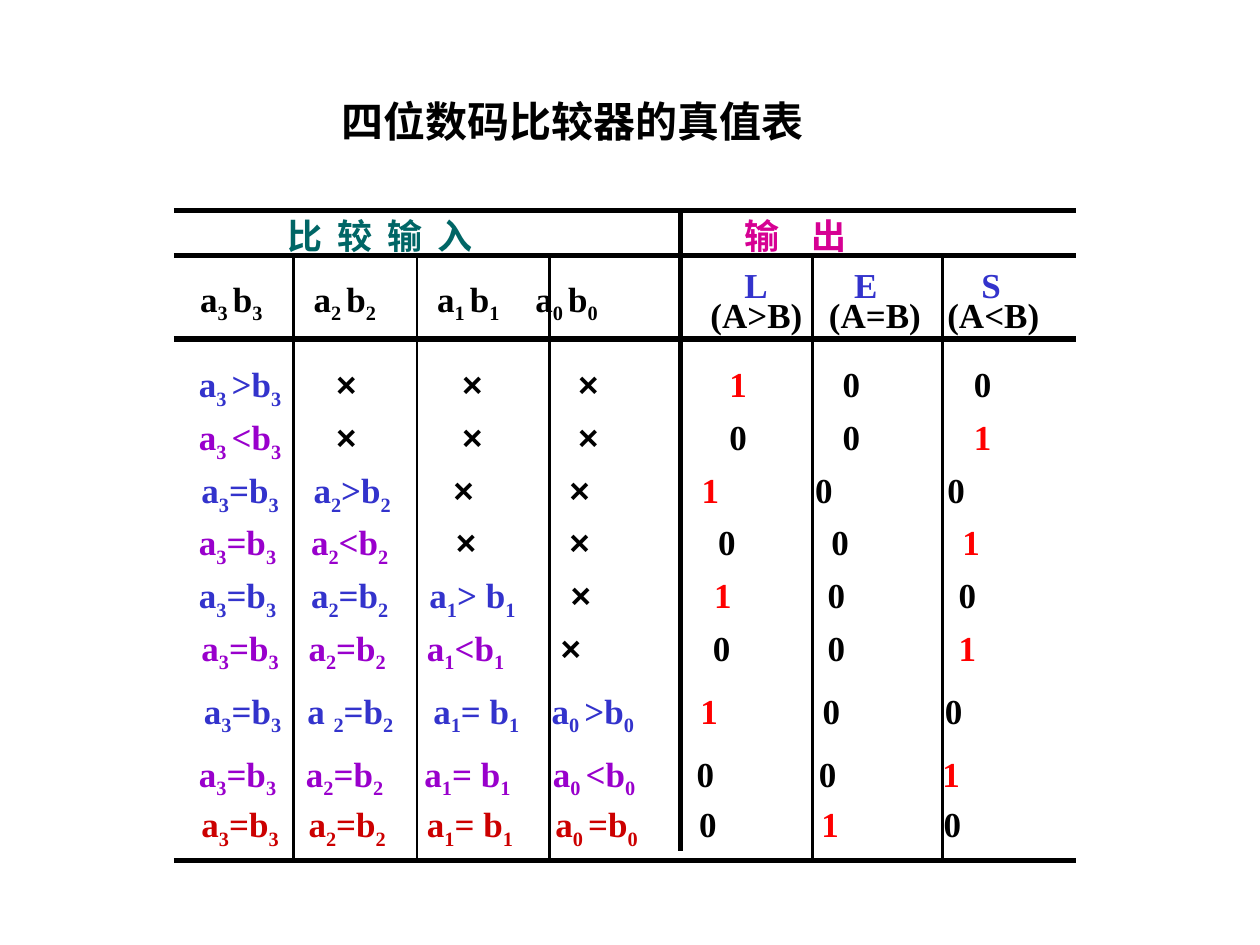
from dataclasses import dataclass

from lxml.etree import SubElement
from pptx import Presentation
from pptx.dml.color import RGBColor
from pptx.enum.shapes import MSO_CONNECTOR as Connector
from pptx.enum.text import MSO_ANCHOR as Anchor, MSO_AUTO_SIZE as AutoSize, PP_ALIGN as Align
from pptx.oxml.ns import qn
from pptx.util import Inches, Pt

BLACK, RED, BLUE, PURPLE, CRIMSON = "000000", "FF0000", "3333CC", "9900CC", "CC0000"
TEAL, MAGENTA = "006666", "D60093"
INSET = 0.1


@dataclass
class Cell:
    text: str
    color: str = BLACK
    tracking: int = 0


@dataclass
class Row:
    left: float
    top: float
    width: float
    height: float
    stops: tuple[float, ...]
    cells: list[Cell]


@dataclass
class Rule:
    start: tuple[float, float]
    end: tuple[float, float]
    weight: float


def rgb(value: str) -> RGBColor:
    """Turn a hex string into a colour."""
    return RGBColor.from_string(value)


def add_span(para, text: str, color: str = BLACK, size: int = 20, subscript: bool = False):
    """Add one bold run, lowered if it is a subscript."""
    span = para.add_run()
    span.text = text
    look = {"size": Pt(size), "bold": True, "name": "Arial" if "×" in text else "Times New Roman"}
    for name, value in look.items():
        setattr(span.font, name, value)
    span.font.color.rgb = rgb(color)
    if subscript:
        span.font._element.set("baseline", "-25000")
    return span


def add_cell(para, cell: Cell, lead: str) -> None:
    """Write a cell in which an underscore lowers the next digit and its space."""
    base, *parts = cell.text.split("_")
    span = add_span(para, lead + base, cell.color)
    if cell.tracking:
        span.font._element.set("spc", str(cell.tracking))
    for part in parts:
        cut = 2 if part[1:2] == " " else 1
        add_span(para, part[:cut], cell.color, subscript=True)
        if part[cut:]:
            add_span(para, part[cut:], cell.color)


def add_row(page, row: Row) -> None:
    """Draw a row of cells placed by tab stops."""
    box = page.shapes.add_textbox(*map(Inches, (row.left, row.top, row.width, row.height)))
    for name, value in {"word_wrap": True, "auto_size": AutoSize.SHAPE_TO_FIT_TEXT}.items():
        setattr(box.text_frame, name, value)
    para = box.text_frame.paragraphs[0]
    tabs = SubElement(para._p.get_or_add_pPr(), qn("a:tabLst"))
    for stop in row.stops:
        SubElement(tabs, qn("a:tab"), pos=str(Inches(stop - row.left - INSET)), algn="l")
    indented = len(row.stops) == len(row.cells)
    for index, cell in enumerate(row.cells):
        add_cell(para, cell, "\t" if index or indented else "")


def add_rule(page, rule: Rule) -> None:
    """Draw one black table rule."""
    line = page.shapes.add_connector(Connector.STRAIGHT, *map(Inches, rule.start + rule.end))
    line.line.width = Pt(rule.weight)
    line.line.color.rgb = rgb(BLACK)
    SubElement(line._element.spPr, qn("a:effectLst"))


def add_title(page, text: str) -> None:
    """Place and format the title."""
    title = page.shapes.title
    frame = {"left": 0.58, "top": 0.5, "width": 7.92, "height": 0.92}
    for name, value in frame.items():
        setattr(title, name, Inches(value))
    title.text_frame.auto_size = AutoSize.NONE
    title.text_frame.vertical_anchor = Anchor.MIDDLE
    para = title.text_frame.paragraphs[0]
    para.alignment = Align.CENTER
    add_span(para, text, size=24)


def body_row(left: float, top: float, color: str, stops: tuple[float, ...], text: str) -> Row:
    """Build a truth table row, with each output of 1 in red."""
    colors = {"×": BLACK, "0": BLACK, "1": RED}
    cells = [Cell(part, colors.get(part, color)) for part in text.split("|")]
    return Row(left, top, 7.28, 0.48, stops, cells)


def plain_cells(text: str, color: str = BLACK) -> list[Cell]:
    """Build cells of one colour."""
    return [Cell(part, color) for part in text.split("|")]


WIDE = (2.67, 3.67, 4.59, 5.79, 6.69, 7.73)
BODY = [
    body_row(1.48, 2.83, BLUE, WIDE, "a_3 >b_3|×|×|×|1|0|0"),
    body_row(1.48, 3.25, PURPLE, WIDE, "a_3 <b_3|×|×|×|0|0|1"),
    body_row(1.5, 3.67, BLUE, (2.49, 3.6, 4.52, 5.57, 6.47, 7.52), "a_3=b_3|a_2>b_2|×|×|1|0|0"),
    body_row(1.48, 4.08, PURPLE, (2.47, 3.62, 4.52, 5.7, 6.6, 7.64), "a_3=b_3|a_2<b_2|×|×|0|0|1"),
    body_row(1.48, 4.5, BLUE, (2.47, 3.41, 4.53, 5.67, 6.57, 7.61),
             "a_3=b_3|a_2=b_2|a_1> b_1|×|1|0|0"),
    body_row(1.5, 4.92, PURPLE, (2.45, 3.39, 4.45, 5.66, 6.57, 7.61),
             "a_3=b_3|a_2=b_2|a_1<b_1|×|0|0|1"),
    body_row(1.52, 5.42, BLUE, (2.44, 3.44, 4.38, 5.56, 6.53, 7.5),
             "a_3=b_3|a _2=b_2|a_1= b_1|a_0 >b_0|1|0|0"),
    body_row(1.48, 5.92, PURPLE, (2.43, 3.37, 4.39, 5.53, 6.5, 7.48),
             "a_3=b_3|a_2=b_2|a_1= b_1|a_0 <b_0|0|0|1"),
    body_row(1.5, 6.32, CRIMSON, (2.45, 3.39, 4.41, 5.55, 6.52, 7.49),
             "a_3=b_3|a_2=b_2|a_1= b_1|a_0 =b_0|0|1|0"),
]
HEADER = [
    Row(1.42, 1.65, 7.16, 0.77, (2.28, 5.91),
        [Cell("比 较 输 入", TEAL, 200), Cell("输 出", MAGENTA, 700)]),
    Row(1.42, 2.15, 4.01, 0.48, (1.59, 2.49, 3.47, 4.25),
        plain_cells("a_3 b_3|a_2 b_2|a_1 b_1|a_0 b_0")),
    Row(5.46, 2.04, 2.77, 0.44, (5.91, 6.78, 7.79), plain_cells("L|E|S", BLUE)),
    Row(5.48, 2.28, 2.95, 0.44, (5.64, 6.58, 7.52), plain_cells("(A>B)|(A=B)|(A<B)")),
]
RULES = [
    *(Rule((1.38, y), (8.54, y), 3) for y in (1.67, 2.03, 2.69, 6.83)),
    Rule((5.4, 1.69), (5.4, 6.75), 3),
    *(Rule((x, 2.02), (x, 6.83), 1.5) for x in (2.33, 3.31, 4.36, 6.45, 7.48)),
]


def main() -> None:
    """Build the truth table slide."""
    deck = Presentation()
    deck.slide_width, deck.slide_height = Inches(10), Inches(7.5)
    page = deck.slides.add_slide(deck.slide_layouts[5])
    add_title(page, "四位数码比较器的真值表")
    for row in BODY + HEADER:
        add_row(page, row)
    for rule in RULES:
        add_rule(page, rule)
    deck.save("out.pptx")


if __name__ == "__main__":
    main()
